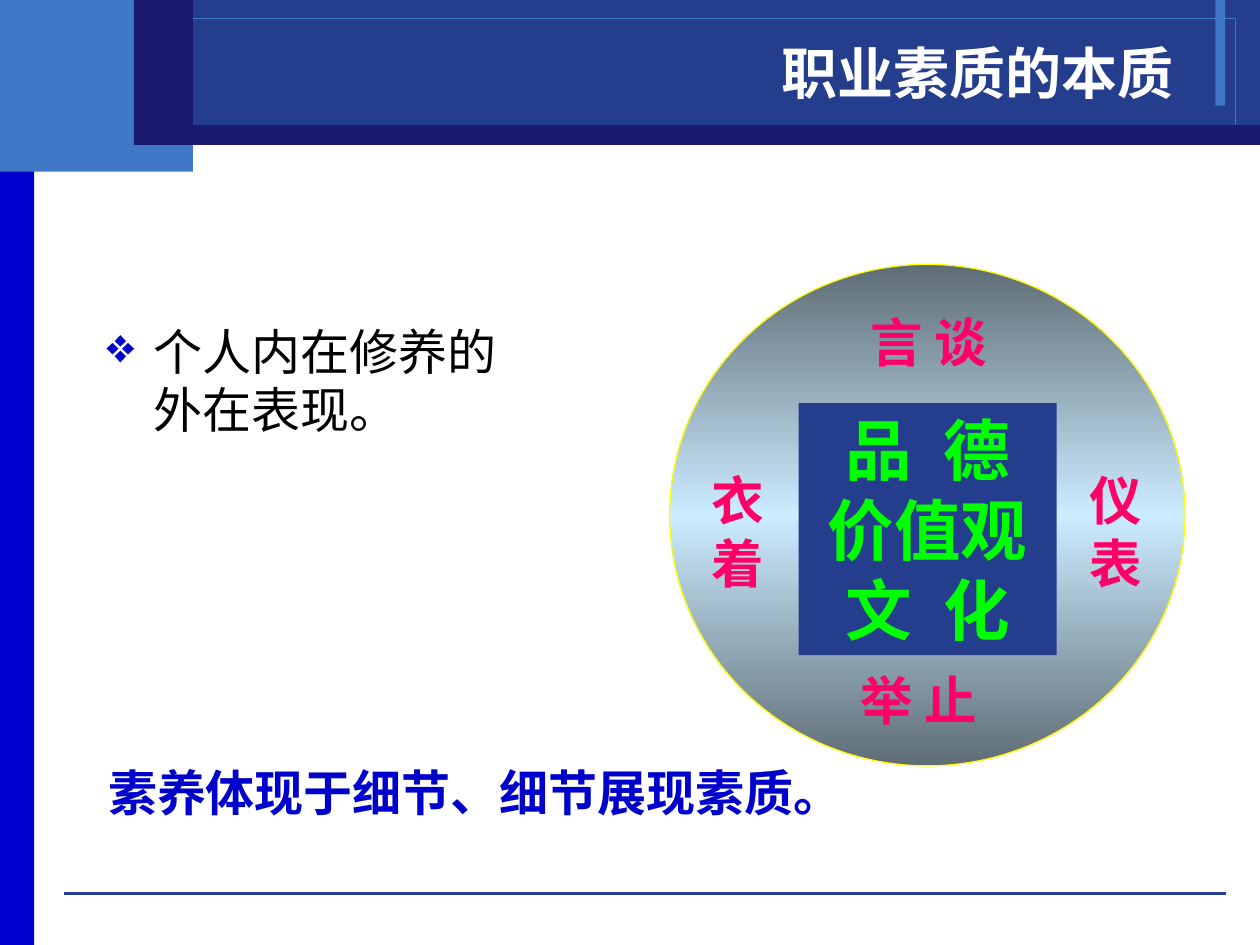
from copy import deepcopy

from lxml.etree import SubElement
from pptx import Presentation
from pptx.dml.color import RGBColor
from pptx.enum.shapes import MSO_CONNECTOR, MSO_SHAPE as Shape
from pptx.enum.text import MSO_ANCHOR as Anchor, MSO_AUTO_SIZE as AutoSize, PP_ALIGN as Align
from pptx.oxml.ns import qn
from pptx.util import Cm, Pt

COLORS = {
    "side": "0000CC", "sky": "3E78C6", "banner": "243D8C", "navy": "1A1A70",
    "white": "FFFFFF", "black": "000000", "steel": "5E6C75", "ice": "CCECFF",
    "yellow": "FFFF00", "green": "00FF00", "pink": "FF0066",
}
SANS, SERIF, ARIAL = "DejaVu Sans", "Times New Roman", "Arial"


def color(name):
    return RGBColor.from_string(COLORS[name])


class SlideBuilder:
    """Holds the style and the current slide; places are (left, top, width, height) in cm."""

    def __init__(self, slide):
        self.slide = slide

    def shape(self, place, fill=None, line=None, width=0, kind=Shape.RECTANGLE):
        shape = self.slide.shapes.add_shape(kind, *map(Cm, place))
        shape.shadow.inherit = False
        if fill:
            shape.fill.solid()
            shape.fill.fore_color.rgb = color(fill)
        else:
            shape.fill.background()
        if line:
            shape.line.color.rgb = color(line)
            shape.line.width = Pt(width)
        else:
            shape.line.fill.background()
        return shape

    def gradient(self, shape, names):
        """Fill top to bottom with evenly spaced colours."""
        shape.fill.gradient()
        shape.fill.gradient_angle = 90
        stop_list = shape._element.spPr.find(".//" + qn("a:gsLst"))
        while len(stop_list) < len(names):
            stop_list.append(deepcopy(stop_list[0]))
        for index, (stop, name) in enumerate(zip(shape.fill.gradient_stops, names)):
            stop.position = index / (len(names) - 1)
            stop.color.rgb = color(name)

    def line(self, start, end, name):
        line = self.slide.shapes.add_connector(MSO_CONNECTOR.STRAIGHT, *map(Cm, start + end))
        line.line.color.rgb = color(name)
        line.line.width = Pt(0)
        SubElement(line._element.spPr, qn("a:effectLst"))

    def fill_text(self, box, lines, size, name, font, bold=True, align=Align.LEFT,
                  anchor=Anchor.TOP, wrap=True, grow=True):
        frame = box.text_frame
        frame.word_wrap = wrap
        frame.auto_size = AutoSize.SHAPE_TO_FIT_TEXT if grow else AutoSize.NONE
        frame.vertical_anchor = anchor
        frame.text = "\n".join(lines)
        for para in frame.paragraphs:
            para.alignment = align
            para.font.size = Pt(size)
            para.font.bold = bold
            para.font.name = font
            para.font.color.rgb = color(name)
        return frame

    def text(self, place, lines, size, name, font, **options):
        box = self.slide.shapes.add_textbox(*map(Cm, place))
        return self.fill_text(box, lines, size, name, font, **options)

    def bullet(self, para, mark, name, indent):
        props = para._p.get_or_add_pPr()
        props.set("marL", str(Cm(indent)))
        props.set("indent", str(-Cm(indent)))
        para.space_before = Pt(7)
        bullet_color = props.makeelement(qn("a:buClr"), {})
        SubElement(bullet_color, qn("a:srgbClr"), val=COLORS[name])
        bullet_char = props.makeelement(qn("a:buChar"), {"char": mark})
        defaults = props.find(qn("a:defRPr"))
        defaults.addprevious(bullet_color)
        defaults.addprevious(bullet_char)


def draw_frame(page):
    page.shape((0, 2.72, 0.69, 16.33), "side")
    page.shape((0, 0, 3.89, 3.46), "sky")
    page.shape((3.89, 0, 21.51, 2.92), "banner")
    page.shape((24.5, 0, 0.2, 2.13), "sky")
    page.shape((0.5, 0.38, 24.41, 2.15), line="sky")
    page.line((1.3, 18.01), (24.71, 18.01), "banner")
    page.shape((3.3, 2.52, 22.1, 0.4), "navy")
    page.shape((2.7, 0, 1.19, 2.92), "navy")


def draw_text(page):
    page.text((2.08, 0.66, 21.84, 1.57), ["职业素质的本质"], 32, "white", SANS,
              align=Align.RIGHT, anchor=Anchor.MIDDLE, grow=False)
    body = page.text((1.9, 6.35, 8.46, 6.55), ["个人内在修养的外在表现"], 28, "black", SANS,
                     bold=False, grow=False)
    para = body.paragraphs[0]
    stop = para.add_run()
    stop.text = "。"
    stop.font.name = SERIF
    page.bullet(para, "❖", "side", 0.95)


def draw_circle(page):
    circle = page.shape((13.5, 5.33, 10.39, 10.11), line="yellow", width=0.75, kind=Shape.OVAL)
    page.gradient(circle, ["steel", "ice", "steel"])
    core = page.shape((16.1, 8.13, 5.2, 5.08), "banner")
    frame = page.fill_text(core, ["品 德", "价值观", "文 化"], 38, "green", SERIF,
                           align=Align.CENTER)
    for para in frame.paragraphs[::2]:
        para.runs[0]._r.get_or_add_rPr().set("spc", "475")  # spread the two-character words
    labels = [
        ((17.3, 6.12, 3, 1.52), ["言 谈"]),
        ((14.1, 9.32, 1.6, 2.79), ["衣", "着"]),
        ((17.09, 13.34, 3.2, 1.52), ["举 止"]),
        ((21.72, 9.32, 1.6, 2.79), ["仪表"]),
    ]
    for place, lines in labels:
        page.text(place, lines, 30, "pink", SERIF)


def main():
    deck = Presentation()
    deck.slide_width, deck.slide_height = Cm(25.4), Cm(19.05)
    page = SlideBuilder(deck.slides.add_slide(deck.slide_layouts[6]))
    draw_frame(page)
    draw_text(page)
    draw_circle(page)
    page.text((1.93, 15.24, 15.29, 1.45), ["素养体现于细节、细节展现素质。"], 28, "side", ARIAL,
              wrap=False)
    deck.save("out.pptx")


if __name__ == "__main__":
    main()
